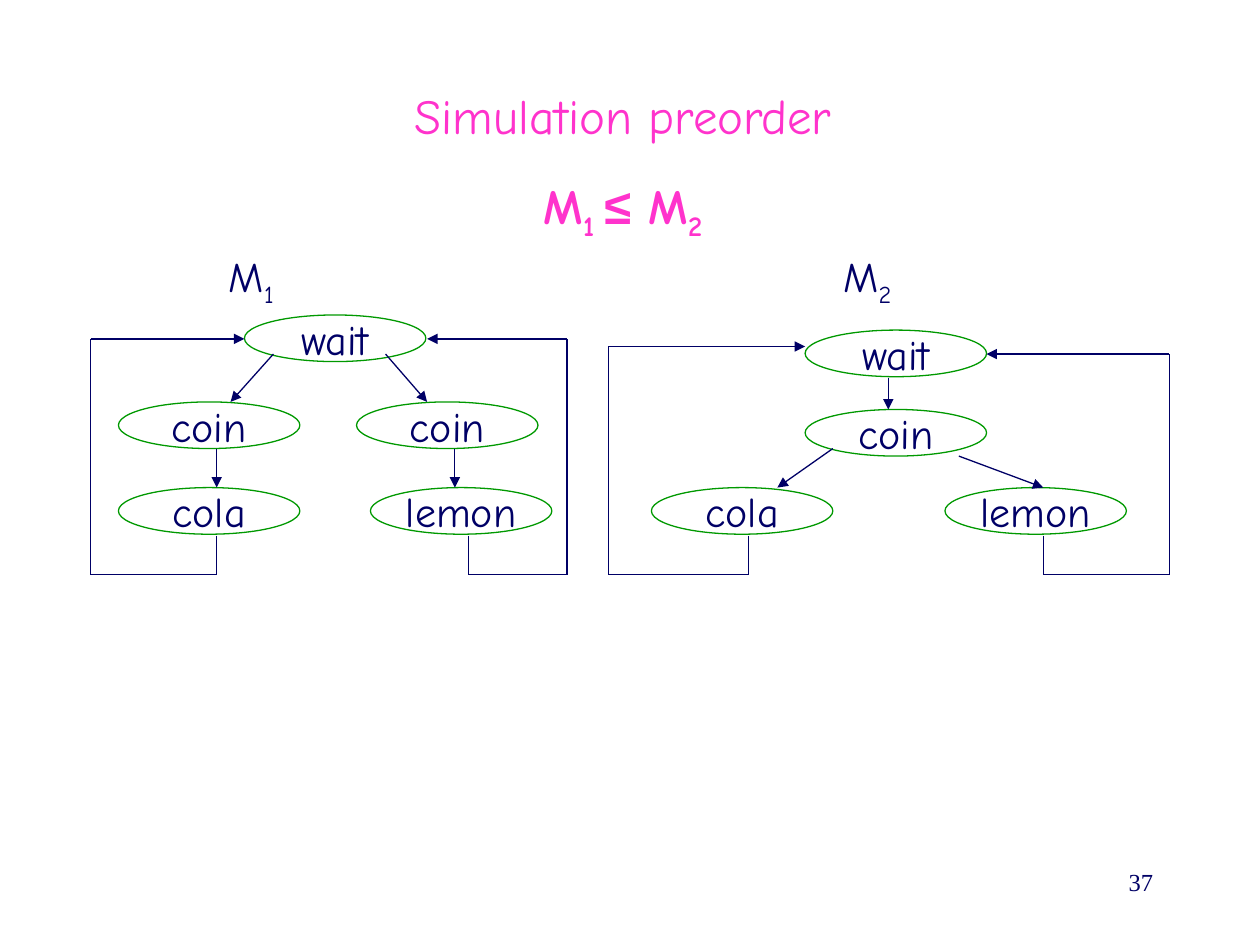
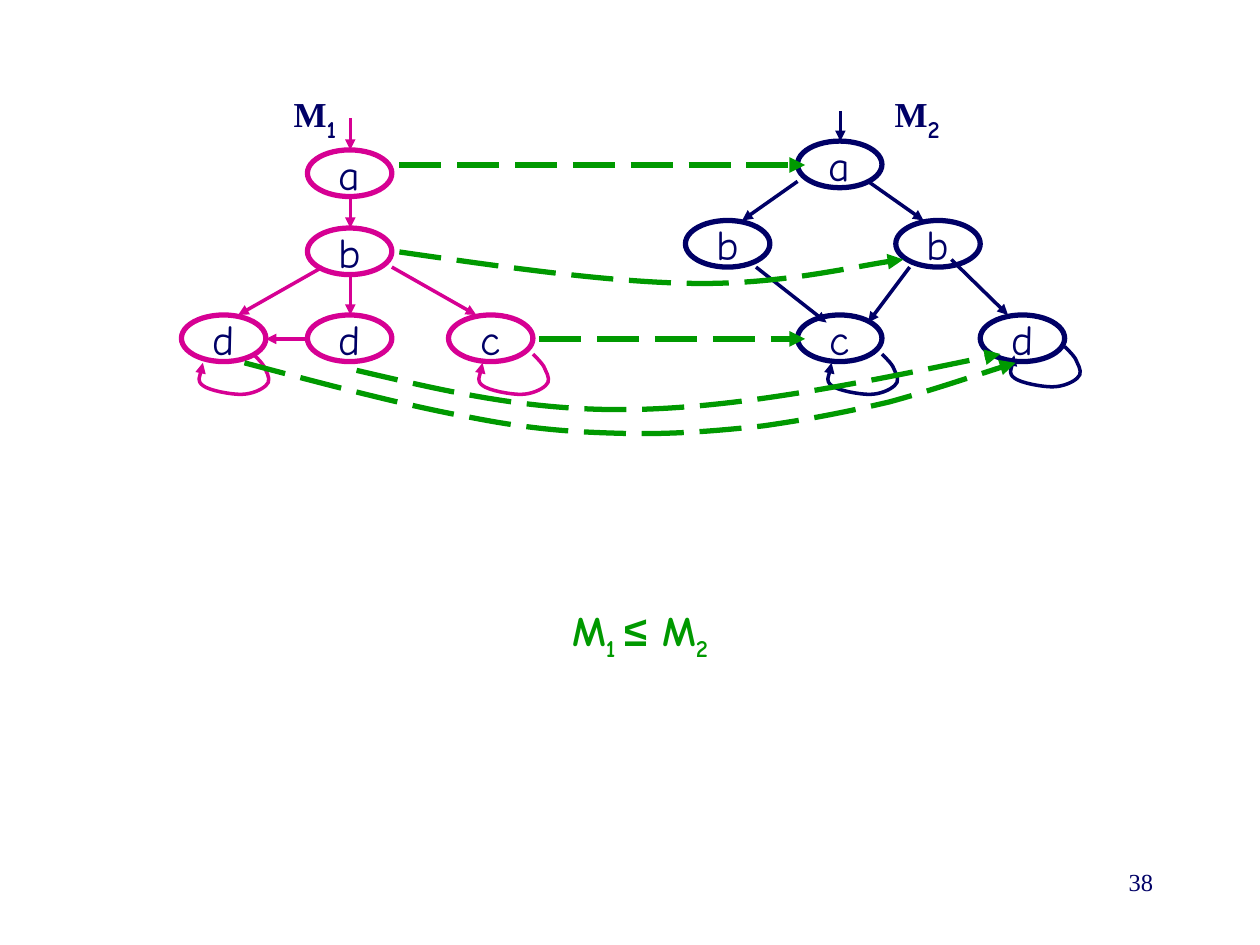
from dataclasses import dataclass
from itertools import pairwise
from typing import NamedTuple

from lxml.etree import SubElement
from pptx import Presentation
from pptx.dml.color import RGBColor
from pptx.enum.dml import MSO_LINE
from pptx.enum.shapes import MSO_CONNECTOR, MSO_SHAPE
from pptx.enum.text import MSO_ANCHOR, MSO_AUTO_SIZE, PP_ALIGN
from pptx.oxml.ns import qn
from pptx.util import Inches, Pt

Point = tuple[float, float]


@dataclass(frozen=True)
class Theme:
    navy: RGBColor = RGBColor(0x00, 0x00, 0x66)
    green: RGBColor = RGBColor(0x00, 0x99, 0x00)
    pink: RGBColor = RGBColor(0xFF, 0x33, 0xCC)
    rose: RGBColor = RGBColor(0xD6, 0x00, 0x93)
    white: RGBColor = RGBColor(0xFF, 0xFF, 0xFF)
    comic: str = "Comic Neue"
    serif: str = "Times New Roman"
    symbol: str = "Arial"
    title: float = 28
    body: float = 24
    label: float = 20
    number: float = 14


THEME = Theme()


class Style(NamedTuple):
    color: RGBColor
    width: float
    dashed: bool = False


class Part(NamedTuple):
    text: str
    sub: bool = False
    face: str | None = None
    size: float | None = None


class Node(NamedTuple):
    text: str
    left: float
    top: float


class Arrow(NamedTuple):
    start: Point
    end: Point


THIN = Style(THEME.navy, 0.75)
RIM = Style(THEME.green, 0.75)
ROSE = Style(THEME.rose, 2)
NAVY = Style(THEME.navy, 2)
MATCH = Style(THEME.green, 3, True)
HIGH = 0.37  # height of every state

FORMULA = [Part("M"), Part("1 ", True), Part("≤", face=THEME.symbol),
           Part(" M"), Part("2", True)]

# A state's arrow back to itself: start, then three points per curve
LOOP = [(0.45, 0), (0.49, 0.04), (0.54, 0.09), (0.55, 0.13),
        (0.57, 0.17), (0.59, 0.22), (0.55, 0.25),
        (0.52, 0.28), (0.44, 0.32), (0.35, 0.32),
        (0.27, 0.32), (0.1, 0.29), (0.05, 0.25),
        (0, 0.21), (0.05, 0.1), (0.05, 0.07)]


# Text
def write(para, parts: list[Part], size: float, color: RGBColor,
          bold: bool = False, face: str = THEME.comic, gap: float = 0) -> None:
    para.alignment = PP_ALIGN.CENTER
    para.space_before = Pt(gap)
    font = para.font
    font.name, font.size, font.bold = face, Pt(size), bold
    font.color.rgb = color
    for part in parts:
        run = para.add_run()
        run.text = part.text
        if part.face:
            run.font.name = part.face
        if part.size:
            run.font.size = Pt(part.size)
        if part.sub:
            run.font._element.set("baseline", "-25000")


def add_text(slide, left: float, top: float, width: float, height: float):
    frame = slide.shapes.add_textbox(
        Inches(left), Inches(top), Inches(width), Inches(height)).text_frame
    frame.word_wrap = True
    return frame.paragraphs[0]


def place_title(slide, left: float, top: float, width: float, height: float):
    title = slide.shapes.title
    title.left, title.top = Inches(left), Inches(top)
    title.width, title.height = Inches(width), Inches(height)
    frame = title.text_frame
    frame.auto_size = MSO_AUTO_SIZE.NONE
    frame.vertical_anchor = MSO_ANCHOR.TOP
    return frame


def add_number(slide, number: int) -> None:
    para = add_text(slide, 7.17, 6.83, 2.08, 0.5)
    write(para, [Part(str(number))], THEME.number, THEME.navy, face=THEME.serif)
    para.alignment = PP_ALIGN.RIGHT


# Lines and states
def set_line(shape, style: Style, head: bool = False) -> None:
    line = shape.line
    line.color.rgb = style.color
    line.width = Pt(style.width)
    if style.dashed:
        line.dash_style = MSO_LINE.LONG_DASH
    if head:
        SubElement(line._get_or_add_ln(), qn("a:tailEnd"), type="triangle")


def draw_line(slide, start: Point, end: Point, style: Style,
              head: bool = True) -> None:
    line = slide.shapes.add_connector(
        MSO_CONNECTOR.STRAIGHT, *map(Inches, start + end))
    set_line(line, style, head)
    SubElement(line._element.spPr, qn("a:effectLst"))


def draw_arrows(slide, arrows: list[Arrow], style: Style) -> None:
    for arrow in arrows:
        draw_line(slide, arrow.start, arrow.end, style)


def draw_route(slide, points: list[Point], style: Style) -> None:
    """Join the points; only the last leg has a head."""
    for start, end in pairwise(points):
        draw_line(slide, start, end, style, end == points[-1])


def bend(shape) -> None:
    """Turn each three straight steps of an outline into one cubic curve."""
    steps = list(shape._element.iter(qn("a:lnTo")))
    route = steps[0].getparent()
    for i in range(0, len(steps), 3):
        cubic = SubElement(route, qn("a:cubicBezTo"))
        for step in steps[i:i + 3]:
            cubic.append(step[0])
            route.remove(step)


def draw_curve(slide, points: list[Point], style: Style) -> None:
    first, *rest = [(Inches(x), Inches(y)) for x, y in points]
    pen = slide.shapes.build_freeform(*first)
    pen.add_line_segments(rest, close=False)
    curve = pen.convert_to_shape()
    bend(curve)
    curve.shadow.inherit = False
    curve.fill.background()
    set_line(curve, style, True)


def draw_loop(slide, left: float, top: float, style: Style) -> None:
    draw_curve(slide, [(left + x, top + y) for x, y in LOOP], style)


def draw_nodes(slide, nodes: list[Node], width: float, style: Style) -> None:
    for node in nodes:
        oval = slide.shapes.add_shape(
            MSO_SHAPE.OVAL, Inches(node.left), Inches(node.top),
            Inches(width), Inches(HIGH))
        oval.shadow.inherit = False
        oval.fill.solid()
        oval.fill.fore_color.rgb = THEME.white
        set_line(oval, style)
        frame = oval.text_frame
        frame.word_wrap = False
        frame.vertical_anchor = MSO_ANCHOR.MIDDLE
        write(frame.paragraphs[0], [Part(node.text)], THEME.body, THEME.navy)


# Slide 37: two vending machines
def build_order(slide) -> None:
    frame = place_title(slide, 2.78, 0.63, 4.33, 1.34)
    write(frame.paragraphs[0], [Part("Simulation preorder")],
          THEME.title, THEME.pink, gap=17.5)
    write(frame.add_paragraph(), FORMULA, THEME.title, THEME.pink, True, gap=17.5)
    for index, left in (("1", 1.44), ("2", 6.33)):
        write(add_text(slide, left, 1.94, 1.11, 0.56),
              [Part("M"), Part(index, True)], THEME.body, THEME.navy, gap=15)

    draw_nodes(slide, [
        Node("wait", 1.94, 2.5), Node("coin", 0.94, 3.19), Node("coin", 2.83, 3.19),
        Node("lemon", 2.94, 3.87), Node("cola", 0.94, 3.87),
        Node("wait", 6.39, 2.62), Node("coin", 6.39, 3.25),
        Node("cola", 5.17, 3.87), Node("lemon", 7.5, 3.87),
    ], 1.44, RIM)
    draw_arrows(slide, [
        Arrow((2.17, 2.81), (1.83, 3.19)), Arrow((3.06, 2.81), (3.39, 3.19)),
        Arrow((1.72, 3.56), (1.72, 3.87)), Arrow((3.61, 3.56), (3.61, 3.87)),
        Arrow((7.05, 3), (7.05, 3.25)), Arrow((6.61, 3.56), (6.17, 3.87)),
        Arrow((7.61, 3.62), (8.28, 3.87)),
    ], THIN)

    # Ways back to "wait": from x, round by side x, in at (x, y)
    for start, side, end, top in ((1.72, 0.72, 1.94, 2.69), (3.72, 4.5, 3.39, 2.69),
                                  (5.94, 4.83, 6.39, 2.75), (8.28, 9.28, 7.83, 2.81)):
        draw_route(slide, [(start, 4.25), (start, 4.56), (side, 4.56),
                           (side, top), (end, top)], THIN)


# Slide 38: matching states of two graphs
def build_match(slide) -> None:
    write(place_title(slide, 1.08, 4.75, 8, 0.56).paragraphs[0], FORMULA,
          THEME.body, THEME.green, True, gap=15)
    for index, left in (("1", 2), ("2", 6.78)):
        write(add_text(slide, left, 0.63, 1, 0.56),
              [Part("M"), Part(index, True, THEME.comic, THEME.body)],
              THEME.label, THEME.navy, True, THEME.serif, 15)

    # Left graph
    for left in (1.56, 3.78):
        draw_loop(slide, left, 2.81, ROSE)
    draw_nodes(slide, [
        Node("a", 2.44, 1.19), Node("b", 2.44, 1.81), Node("c", 3.56, 2.5),
        Node("d", 2.44, 2.5), Node("d", 1.44, 2.5),
    ], 0.67, ROSE._replace(width=3))
    draw_arrows(slide, [
        Arrow((2.78, 0.94), (2.78, 1.19)), Arrow((2.78, 1.56), (2.78, 1.81)),
        Arrow((2.56, 2.12), (1.89, 2.5)), Arrow((2.78, 2.19), (2.78, 2.5)),
        Arrow((3.11, 2.12), (3.78, 2.5)), Arrow((2.44, 2.69), (2.11, 2.69)),
    ], ROSE)

    # Right graph
    draw_nodes(slide, [
        Node("d", 7.78, 2.5), Node("c", 6.33, 2.5), Node("a", 6.33, 1.12),
        Node("b", 7.11, 1.75), Node("b", 5.44, 1.75),
    ], 0.67, NAVY._replace(width=3))
    draw_arrows(slide, [
        Arrow((6.33, 1.44), (5.89, 1.75)), Arrow((6.89, 1.44), (7.33, 1.75)),
        Arrow((6, 2.12), (6.56, 2.56)), Arrow((7.22, 2.12), (6.89, 2.56)),
        Arrow((7.55, 2.06), (8, 2.5)), Arrow((6.67, 0.88), (6.67, 1.12)),
    ], NAVY)
    draw_loop(slide, 6.55, 2.81, NAVY)
    draw_loop(slide, 8, 2.75, NAVY)

    # Dashed links between matching states
    draw_arrows(slide, [Arrow((3.17, 1.31), (6.39, 1.31)),
                        Arrow((4.28, 2.69), (6.39, 2.69))], MATCH)
    for curve in (
        [(3.17, 2), (4, 2.12), (4.83, 2.24), (5.5, 2.25),
         (6.17, 2.26), (6.89, 2.09), (7.17, 2.06)],
        [(2.83, 2.94), (3.52, 3.1), (4.2, 3.27), (5.06, 3.25),
         (5.91, 3.23), (6.93, 3.02), (7.94, 2.81)],
        [(1.94, 2.88), (2.58, 3.05), (3.22, 3.22), (3.72, 3.31),
         (4.22, 3.41), (4.56, 3.43), (4.94, 3.44),
         (5.33, 3.45), (5.7, 3.42), (6.06, 3.38),
         (6.41, 3.33), (6.72, 3.27), (7.06, 3.19),
         (7.39, 3.1), (7.89, 2.93), (8.06, 2.88)],
    ):
        draw_curve(slide, curve, MATCH)


def main() -> None:
    deck = Presentation()
    deck.slide_width, deck.slide_height = Inches(10), Inches(7.5)
    for number, build in enumerate((build_order, build_match), 37):
        slide = deck.slides.add_slide(deck.slide_layouts[5])
        build(slide)
        add_number(slide, number)
    deck.save("out.pptx")


if __name__ == "__main__":
    main()
